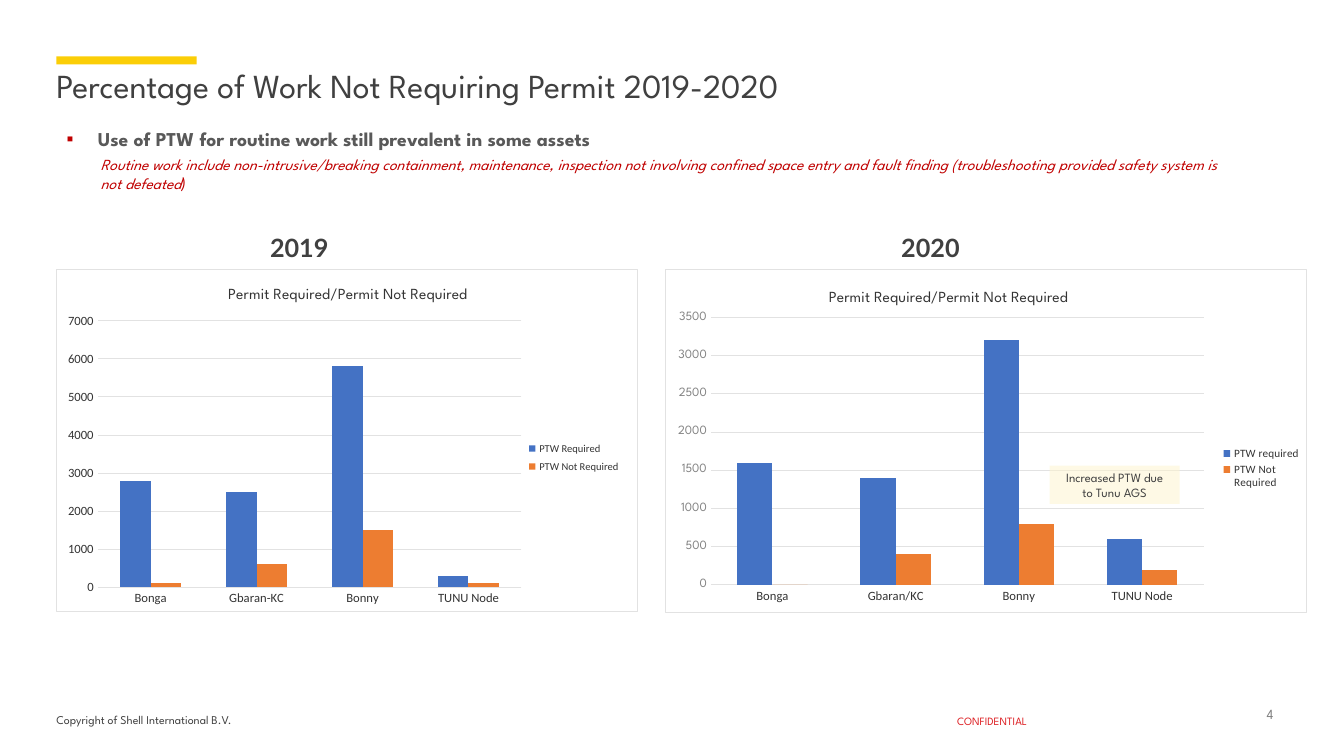
from lxml import etree
from pptx import Presentation
from pptx import util as u
from pptx.chart import data as cd
from pptx.dml import color as dc
from pptx.enum import chart as ch, shapes, text
from pptx.oxml import ns, parse_xml

HUES = {
    "ink": "404040", "dark": "333333", "gray": "808080", "pale": "838383",
    "lead": "595959", "red": "C00000", "alert": "DD1D21", "gold": "FBCE07",
    "cream": "FEF5CD", "rule": "E2E2E2", "blue": "4472C4", "orange": "ED7D31",
    "white": "FFFFFF",
}
HEAD, BODY, YEAR = "League Spartan", "Calibri", "Lato"
LEFT, RIGHT, MID = text.PP_ALIGN.LEFT, text.PP_ALIGN.RIGHT, text.PP_ALIGN.CENTER
TOP = text.MSO_ANCHOR.TOP


def rgb(hue):
    return dc.RGBColor.from_string(HUES[hue])


def style(font, size, hue, face=HEAD, bold=False, slant=False):
    font.size, font.name = u.Pt(size), face
    font.bold, font.italic = bold, slant
    font.color.rgb = rgb(hue)


def place(shape, box):
    shape.left, shape.top, shape.width, shape.height = map(u.Inches, box)


def write(frame, runs, align=LEFT, anchor=TOP, pad=None, wrap=True):
    frame.word_wrap = wrap
    frame.auto_size = text.MSO_AUTO_SIZE.NONE
    frame.vertical_anchor = anchor
    if pad is not None:
        frame.margin_left = frame.margin_top = frame.margin_right = 0
        frame.margin_bottom = u.Inches(pad)
    para = frame.paragraphs[0]
    para.alignment = align
    for words, *look in runs:
        run = para.add_run()
        run.text = words
        style(run.font, *look)
    return para


def label(slide, box, runs, **opts):
    shape = slide.shapes.add_textbox(*map(u.Inches, box))
    write(shape.text_frame, runs, **opts)


def block(slide, box, hue):
    shape = slide.shapes.add_shape(shapes.MSO_SHAPE.RECTANGLE, *map(u.Inches, box))
    shape.shadow.inherit = False
    shape.fill.solid()
    shape.fill.fore_color.rgb = rgb(hue)
    shape.line.fill.background()
    return shape


def header(slide, box):
    x, y, w, h = box
    block(slide, (x, y, 1.39, 0.08), "gold")
    title = slide.shapes.title
    place(title, (x, y + 0.13, w, 0.34))
    para = write(title.text_frame, [
        ("Percentage of Work Not Requiring Permit 2019-2020", 24, "ink")], pad=0)
    para.line_spacing = 0.9


def points(slide, box):
    x, y, w, h = box
    body = slide.placeholders[1]
    place(body, (x, y, w, 0.34))
    para = write(body.text_frame, [
        ("Use of PTW for routine work still prevalent in some assets", 14, "lead", HEAD, True)])
    para.space_before = u.Pt(0)
    props = para._p.get_or_add_pPr()
    props.set("marL", str(u.Inches(0.31)))
    props.set("indent", str(-u.Inches(0.31)))
    tint = etree.SubElement(props, ns.qn("a:buClr"))
    etree.SubElement(tint, ns.qn("a:srgbClr"), val=HUES["red"])
    etree.SubElement(props, ns.qn("a:buFont"), typeface="Arial")
    etree.SubElement(props, ns.qn("a:buChar"), char="▪")
    label(slide, (x + 0.34, y + 0.28, 11.37, 0.47), [
        ("Routine work include non-intrusive/breaking containment, maintenance, "
         "inspection not involving confined space entry and fault finding "
         "(troubleshooting provided safety system is not defeated", 11, "red", HEAD, False, True),
        (")", 11, "red", YEAR, False, True)])


def layout(chart, tag, index, spot, inner=False):
    node = chart.element.find(".//" + ns.qn(tag))
    for old in node.findall(ns.qn("c:layout")):
        node.remove(old)
    outer = etree.Element(ns.qn("c:layout"))
    hand = etree.SubElement(outer, ns.qn("c:manualLayout"))
    if inner:
        etree.SubElement(hand, ns.qn("c:layoutTarget"), val="inner")
    for side in "xy":
        etree.SubElement(hand, ns.qn(f"c:{side}Mode"), val="edge")
    for side, val in zip("xywh", spot):
        etree.SubElement(hand, ns.qn(f"c:{side}"), val=str(val))
    node.insert(index, outer)


def frame(chart):
    chart.element.find(ns.qn("c:chart")).addnext(parse_xml(
        f'<c:spPr {ns.nsdecls("c", "a")}><a:solidFill><a:srgbClr val="{HUES["white"]}"/>'
        f'</a:solidFill><a:ln w="{u.Pt(0.75)}"><a:solidFill>'
        f'<a:srgbClr val="{HUES["rule"]}"/></a:solidFill></a:ln></c:spPr>'))


def panel(slide, box, year, shift, cats, rows, top, step, val, key, spots):
    x, y, w, h = box
    label(slide, (x + shift, y - 0.41, 0.84, 0.4), [(year, 18, "ink", YEAR, True)], wrap=False)
    data = cd.CategoryChartData(number_format="0")
    data.categories = cats
    for name, vals in rows:
        data.add_series(name, vals)
    chart = slide.shapes.add_chart(
        ch.XL_CHART_TYPE.COLUMN_CLUSTERED, *map(u.Inches, box), data).chart
    style(chart.font, 10, "ink", val[1])
    frame(chart)
    chart.has_title = True
    head = chart.chart_title.text_frame.paragraphs[0].add_run()
    head.text = "Permit Required/Permit Not Required"
    style(head.font, 11, "dark")
    chart.has_legend = True
    chart.legend.position = ch.XL_LEGEND_POSITION.RIGHT
    chart.legend.include_in_layout = False
    style(chart.legend.font, key, "dark", BODY)

    plot = chart.plots[0]
    plot.gap_width, plot.overlap, plot.vary_by_categories = 150, 0, False
    for bar, hue in zip(plot.series, ("blue", "orange")):
        bar.format.fill.solid()
        bar.format.fill.fore_color.rgb = rgb(hue)
    for axis, hue, face in ((chart.category_axis, "dark", BODY), (chart.value_axis, *val)):
        axis.major_tick_mark = axis.minor_tick_mark = ch.XL_TICK_MARK.NONE
        axis.format.line.fill.background()
        style(axis.tick_labels.font, 9, hue, face)
    axis = chart.value_axis
    axis.minimum_scale, axis.maximum_scale, axis.major_unit = 0, top, step
    grid = axis.major_gridlines.format.line
    grid.color.rgb, grid.width = rgb("rule"), u.Pt(0.75)

    area, crown, side = spots
    layout(chart, "c:plotArea", 0, area, True)
    layout(chart, "c:title", 1, crown)
    layout(chart, "c:legend", 1, side)


def note(slide, box):
    shape = block(slide, box, "cream")
    tint = shape.element.spPr.find(".//" + ns.qn("a:srgbClr"))
    etree.SubElement(tint, ns.qn("a:alpha"), val="50000")
    write(shape.text_frame, [("Increased PTW due to Tunu AGS", 9, "ink")],
          align=MID, anchor=text.MSO_ANCHOR.MIDDLE)


def footer(slide, box):
    x, y, w, h = box
    label(slide, (x, y + 0.07, 3.67, 0.26), [
        ("Copyright of Shell International B.V.", 8.5, "ink")], pad=0.05, wrap=False)
    label(slide, (x + 8.69, y + 0.09, 1.18, 0.19), [
        ("CONFIDENTIAL", 8, "alert")], align=MID, pad=0.05)
    label(slide, (x + w - 0.42, y, 0.42, 0.17), [("4", 10, "gray")],
          align=RIGHT, anchor=text.MSO_ANCHOR.BOTTOM, pad=0)


def main():
    deck = Presentation()
    deck.slide_width, deck.slide_height = u.Inches(13.33), u.Inches(7.5)
    slide = deck.slides.add_slide(deck.slide_layouts[1])
    header(slide, (0.56, 0.56, 12.22, 0.47))
    points(slide, (0.56, 1.21, 12.34, 0.75))
    panel(slide, (0.56, 2.67, 5.77, 3.4), "2019", 2.02,
          ("Bonga", "Gbaran-KC", "Bonny", "TUNU Node"),
          (("PTW Required", (2800, 2500, 5800, 300)),
           ("PTW Not Required", (100, 600, 1500, 100))),
          7000, 1000, ("dark", BODY), 7.5,
          ((0.07, 0.15, 0.73, 0.78), (0.29, 0.04), (0.8, 0.49, 0.18, 0.12)))
    panel(slide, (6.6, 2.67, 6.36, 3.41), "2020", 2.24,
          ("Bonga", "Gbaran/KC", "Bonny", "TUNU Node"),
          (("PTW required", (1600, 1400, 3200, 600)),
           ("PTW Not Required", (0, 400, 800, 200))),
          3500, 500, ("pale", HEAD), 8,
          ((0.07, 0.14, 0.77, 0.78), (0.25, 0.05), (0.86, 0.51, 0.14, 0.14)))
    note(slide, (10.41, 4.62, 1.29, 0.38))
    footer(slide, (0.56, 7, 12.07, 0.33))
    deck.save("out.pptx")


if __name__ == "__main__":
    main()
